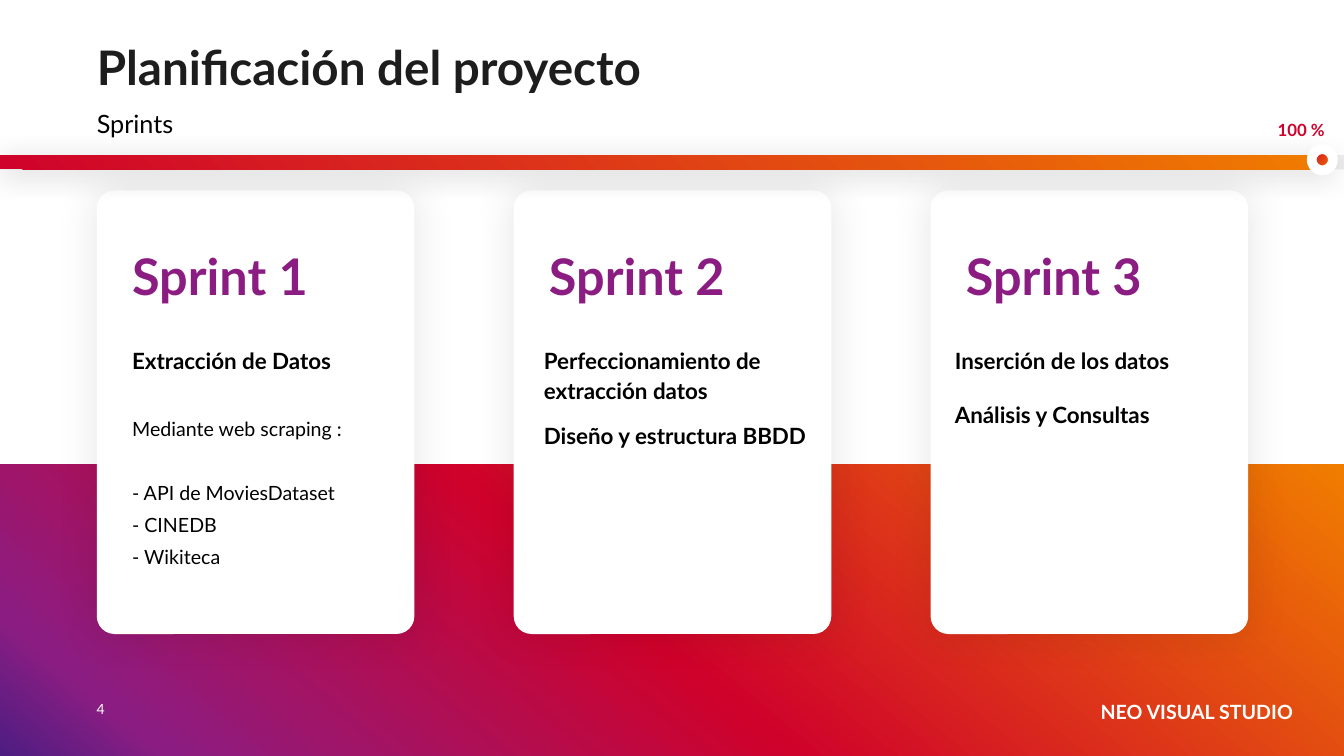
"""Build the project planning slide with three sprint cards."""
from lxml.etree import SubElement
from pptx import Presentation
from pptx.dml.color import RGBColor
from pptx.enum.shapes import MSO_SHAPE as Shape
from pptx.enum.text import MSO_ANCHOR as Anchor, MSO_AUTO_SIZE as Auto, PP_ALIGN as Align
from pptx.oxml.ns import qn
from pptx.util import Inches, Pt

TITLE, SUBTITLE = "Planificación del proyecto", "Sprints"
PROGRESS, PAGE, STUDIO = "100 %", "4", "NEO VISUAL STUDIO"
HEAD = dict(size=16, bold=True, line_spacing=1.1)
ITEM = dict(size=14)
SPRINTS = [
    ("Sprint 1", 0.35, [
        ("Extracción de Datos", HEAD, 0),
        ("Mediante web scraping :", ITEM, 30.5),
        ("- API de MoviesDataset", ITEM, 29),
        ("- CINEDB", ITEM, 6),
        ("- Wikiteca", ITEM, 6)]),
    ("Sprint 2", 0.3, [
        ("Perfeccionamiento de extracción datos", HEAD, 0),
        ("Diseño y estructura BBDD", HEAD, 11)]),
    ("Sprint 3", 0.24, [
        ("Inserción de los datos", HEAD, 0),
        ("Análisis y Consultas", HEAD, 17)]),
]
BAND = [(0, "4D1D82"), (10, "8B1D82"), (47, "CF022B"), (100, "F07D00")]
WARM = [(0, "CF022B"), (100, "F07D00")]
WIDE, HIGH = 13.33, 7.5
LEFT, PITCH, CARD_W, CARD_TOP, CARD_H = 0.96, 4.135, 3.15, 1.89, 4.4
BAR_TOP, BAR_H, BAND_TOP = 1.54, 0.14, 4.61


def rgb(value):
    """Turn a hex string into a colour."""
    return RGBColor.from_string(value)


def place(sp, box):
    """Set the position and size of a shape in inches."""
    for name, value in zip(("left", "top", "width", "height"), box):
        setattr(sp, name, Inches(value))


def add_block(kind, box, fill, angle=0, shadow=None):
    """Add a solid or gradient shape with an optional outer shadow."""
    sp = slide.shapes.add_shape(kind, *map(Inches, box))
    sp.line.fill.background()
    sp.shadow.inherit = False
    pr = sp._element.spPr
    if isinstance(fill, str):
        sp.fill.solid()
        sp.fill.fore_color.rgb = rgb(fill)
    else:
        sp.fill.gradient()
        sp.fill.gradient_angle = angle
        stops = pr.find(".//" + qn("a:gsLst"))
        for stop in list(stops):
            stops.remove(stop)
        for pos, color in fill:
            stop = SubElement(stops, qn("a:gs"), pos=str(pos * 1000))
            SubElement(stop, qn("a:srgbClr"), val=color)
    if shadow:
        alpha, blur, dist = shadow
        outer = SubElement(pr.find(qn("a:effectLst")), qn("a:outerShdw"),
                           blurRad=str(Pt(blur)), dist=str(Pt(dist)),
                           dir="5400000", algn="ctr", rotWithShape="0")
        color = SubElement(outer, qn("a:srgbClr"), val="000000")
        SubElement(color, qn("a:alpha"), val=str(alpha * 1000))
    return sp


def write(sp, box, lines, color="000000", anchor=Anchor.TOP, align=Align.LEFT):
    """Place a text shape and fill it with (text, format, space before) lines."""
    place(sp, box)
    tf = sp.text_frame
    frame = dict(margin_left=0, margin_top=0, margin_right=0, margin_bottom=0,
                 word_wrap=True, auto_size=Auto.NONE, vertical_anchor=anchor)
    for name, value in frame.items():
        setattr(tf, name, value)
    for i, (text, style, before) in enumerate(lines):
        p = tf.add_paragraph() if i else tf.paragraphs[0]
        pr = p._p.get_or_add_pPr()
        pr.set("marL", "0")
        pr.set("indent", "0")
        SubElement(pr, qn("a:buNone"))
        p.alignment = align
        p.line_spacing = style.get("line_spacing", 1.0)
        p.space_before, p.space_after = Pt(before), Pt(0)
        r = p.add_run()
        r.text = text
        font = dict(name="Lato", size=Pt(style["size"]), bold=style.get("bold", False))
        for name, value in font.items():
            setattr(r.font, name, value)
        r.font.color.rgb = rgb(color)


def add_label(box, text, size, color, bold=True, **options):
    """Add a one-line text box."""
    sp = slide.shapes.add_textbox(0, 0, 0, 0)
    write(sp, box, [(text, dict(size=size, bold=bold), 0)], color, **options)


prs = Presentation()
prs.slide_width, prs.slide_height = Inches(WIDE), Inches(HIGH)
slide = prs.slides.add_slide(prs.slide_layouts[4])
title, subtitle, *bodies = slide.placeholders

add_block(Shape.RECTANGLE, (0, BAND_TOP, WIDE, HIGH - BAND_TOP), BAND, 50)
for i in range(len(SPRINTS)):
    card = add_block(Shape.ROUNDED_RECTANGLE,
                     (LEFT + i * PITCH, CARD_TOP, CARD_W, CARD_H), "FFFFFF", shadow=(10, 30, 0))
    card.adjustments[0] = 0.056
add_block(Shape.RECTANGLE, (0, BAR_TOP, WIDE, BAR_H), "EDEDED")
add_block(Shape.RECTANGLE, (0, BAR_TOP, WIDE - 0.1, BAR_H), WARM, 45, (20, 20, 3))
knob = add_block(Shape.OVAL, (13.01, 1.48, 0.21, 0.21), WARM, 315)
knob.line.color.rgb = rgb("FFFFFF")
knob.line.width = Pt(7)

for sp in (title, subtitle, *bodies):
    slide.shapes._spTree.append(sp._element)
write(title, (LEFT, 0.44, 7.91, 0.51),
      [(TITLE, dict(size=34, bold=True, line_spacing=0.9), 0)], "1D1D1D")
write(subtitle, (LEFT, 1.07, 7.91, 0.31), [(SUBTITLE, dict(size=18), 0)])
for i, ((name, inset, lines), body) in enumerate(zip(SPRINTS, bodies)):
    x = LEFT + i * PITCH
    add_label((x + 0.35, 2.43, 2.45, 0.61), name, 36, "8B1D82")
    write(body, (x + inset, 3.42, 2.65, 2.54), lines)

add_label((12.62, 1.19, 0.57, 0.2), PROGRESS, 12, "CF022B",
          anchor=Anchor.BOTTOM, align=Align.CENTER)
add_label((LEFT, 6.95, 1.53, 0.17), PAGE, 10, "FFFFFF", False, anchor=Anchor.MIDDLE)
add_label((10.43, 6.86, 2.88, 0.4), STUDIO, 14, "FFFFFF",
          anchor=Anchor.MIDDLE, align=Align.CENTER)
prs.save("out.pptx")
